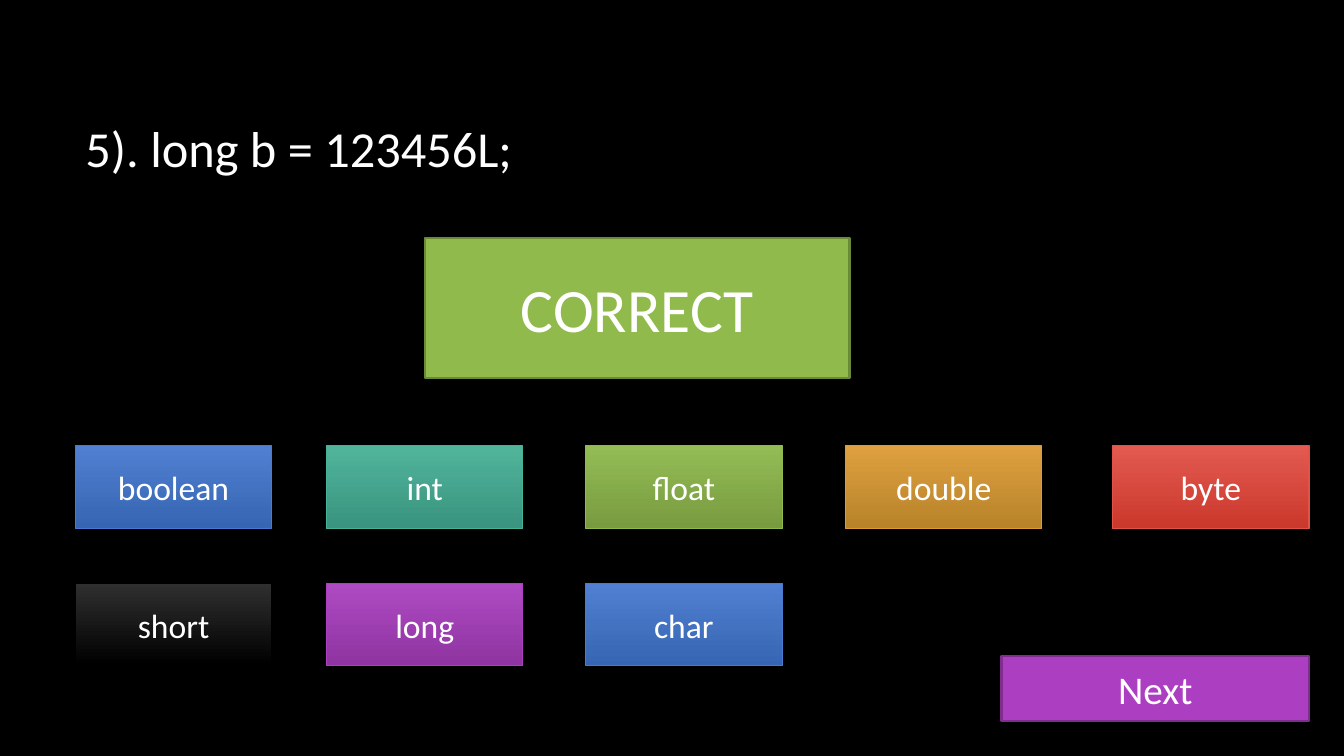
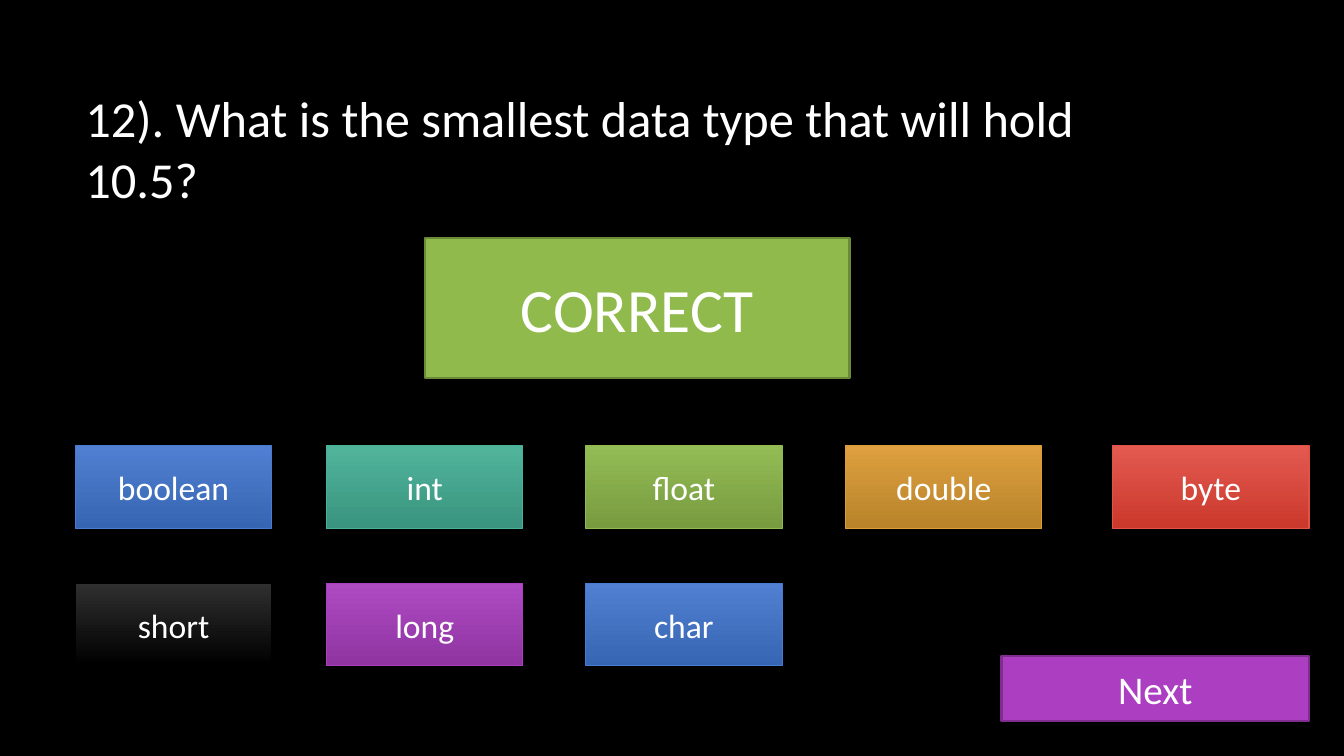
from dataclasses import dataclass

from pptx import Presentation
from pptx.dml.color import RGBColor
from pptx.enum.shapes import MSO_SHAPE
from pptx.enum.text import MSO_ANCHOR, MSO_AUTO_SIZE, PP_ALIGN
from pptx.shapes.base import BaseShape
from pptx.slide import Slide
from pptx.text.text import TextFrame
from pptx.util import Cm, Pt

RECTANGLE = MSO_SHAPE.RECTANGLE
MIDDLE = MSO_ANCHOR.MIDDLE
NO_AUTOFIT = MSO_AUTO_SIZE.NONE
LEFT, CENTER = PP_ALIGN.LEFT, PP_ALIGN.CENTER

FONT = "Calibri"
TITLE_ONLY = 5
DOWNWARD = 270  # gradient angle, counted counter-clockwise

COLORS = {
    "background": "000000",
    "text": "FFFFFF",
    "correct": "90BA4C",
    "correct_edge": "6B8A38",
    "next": "AC3EC1",
    "next_edge": "7F2E8F",
}

# Gradient top, gradient bottom and outline of the answer buttons
GRADIENTS = {
    "blue": ("5180D2", "3665B3", "477BD1"),
    "teal": ("50B49B", "3A947F", "46B298"),
    "green": ("93BC55", "789B3F", "90BA4C"),
    "orange": ("DEA040", "B88329", "DD9D31"),
    "red": ("E35A51", "CB382C", "E25247"),
    "black": ("2F2F2F", "000000", "000000"),
    "purple": ("AE4AC2", "8F34A1", "AC3EC1"),
}


@dataclass(frozen=True)
class Button:
    label: str
    left: float
    top: float
    width: float
    height: float
    size: int
    colors: tuple[str, ...]  # fill colours, then the outline colour
    edge: float


# Answer grid, in centimetres
COLUMNS = (1.9, 8.23, 14.76, 21.31, 28.04)
ROWS = (11.23, 14.7)
ANSWERS = (
    (("boolean", "blue"), ("int", "teal"), ("float", "green"),
     ("double", "orange"), ("byte", "red")),
    (("short", "black"), ("long", "purple"), ("char", "blue")),
)

BUTTONS = [
    Button("CORRECT", 10.71, 5.99, 10.7, 3.54, 44,
           (COLORS["correct"], COLORS["correct_edge"]), 1.5),
    Button("Next", 25.24, 16.53, 7.75, 1.64, 28,
           (COLORS["next"], COLORS["next_edge"]), 1.5),
] + [
    Button(label, left, top, 4.95, 2.08, 24, GRADIENTS[color], 0.75)
    for top, answers in zip(ROWS, ANSWERS)
    for left, (label, color) in zip(COLUMNS, answers)
]

QUESTIONS = (
    "5). long b = 123456L;",
    "12). What is the smallest data type that will hold 10.5?",
)


def rgb(color: str) -> RGBColor:
    return RGBColor.from_string(color)


def place(shape: BaseShape, left: float, top: float,
          width: float, height: float) -> None:
    shape.left, shape.top = Cm(left), Cm(top)
    shape.width, shape.height = Cm(width), Cm(height)


def write(frame: TextFrame, text: str, size: int, align: PP_ALIGN) -> None:
    frame.word_wrap = True
    frame.auto_size = NO_AUTOFIT
    frame.vertical_anchor = MIDDLE
    para = frame.paragraphs[0]
    para.alignment = align
    span = para.add_run()
    span.text = text
    span.font.name = FONT
    span.font.size = Pt(size)
    span.font.color.rgb = rgb(COLORS["text"])


def add_button(page: Slide, button: Button) -> None:
    box = page.shapes.add_shape(
        RECTANGLE, Cm(button.left), Cm(button.top),
        Cm(button.width), Cm(button.height))
    box.shadow.inherit = False
    *fills, outline = button.colors
    if len(fills) == 1:
        box.fill.solid()
        box.fill.fore_color.rgb = rgb(fills[0])
    else:
        box.fill.gradient()
        box.fill.gradient_angle = DOWNWARD
        for stop, color in zip(box.fill.gradient_stops, fills):
            stop.color.rgb = rgb(color)
    box.line.color.rgb = rgb(outline)
    box.line.width = Pt(button.edge)
    write(box.text_frame, button.label, button.size, CENTER)


def main() -> None:
    deck = Presentation()
    deck.slide_width, deck.slide_height = Cm(33.87), Cm(19.05)

    # Shared background
    background = deck.slide_master.background.fill
    background.solid()
    background.fore_color.rgb = rgb(COLORS["background"])

    # One page per question
    for question in QUESTIONS:
        page = deck.slides.add_slide(deck.slide_layouts[TITLE_ONLY])
        title = page.shapes.title
        place(title, 1.9, 1.7, 28.15, 4.04)
        write(title.text_frame, question, 36, LEFT)
        for button in BUTTONS:
            add_button(page, button)

    deck.save("out.pptx")


if __name__ == "__main__":
    main()
